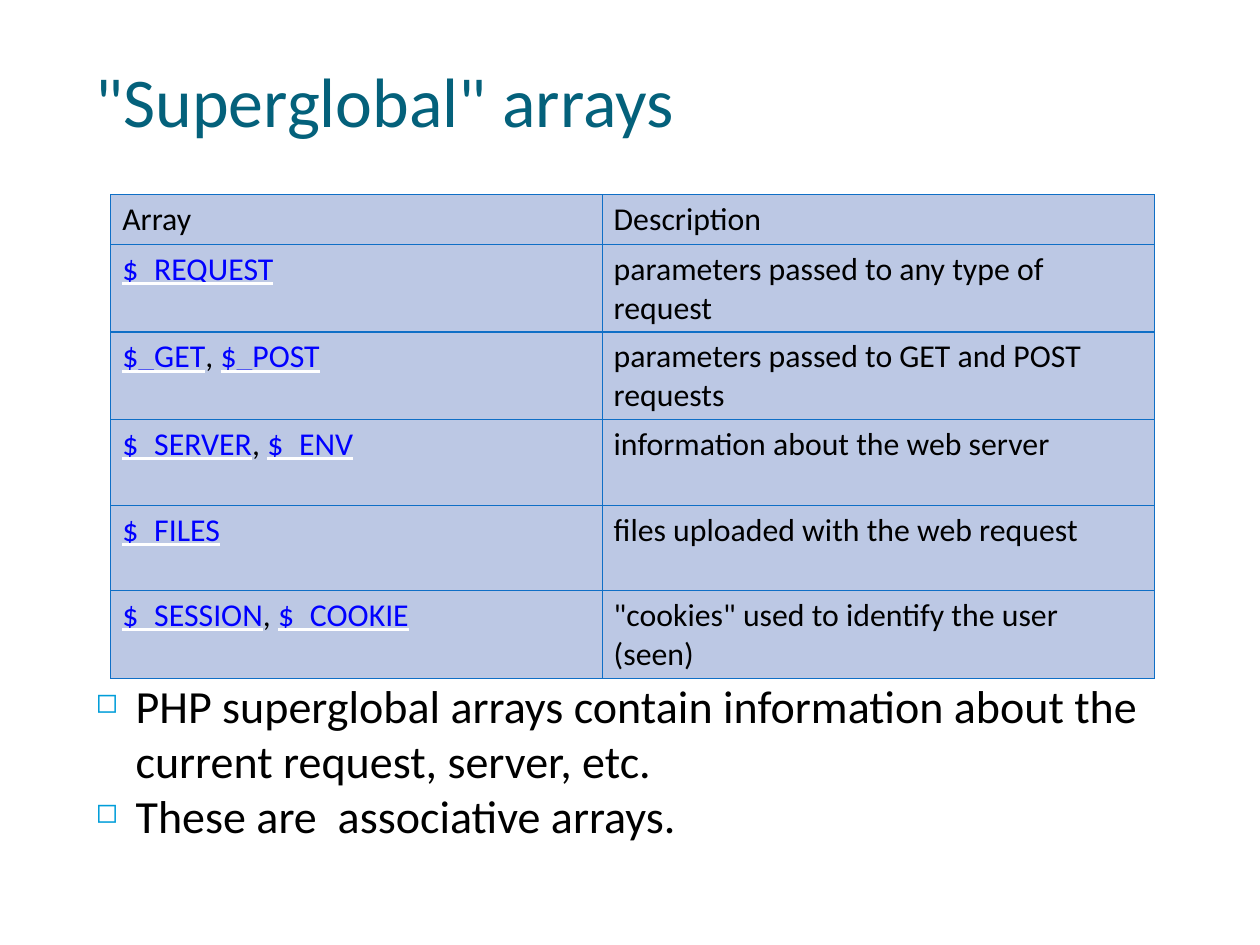
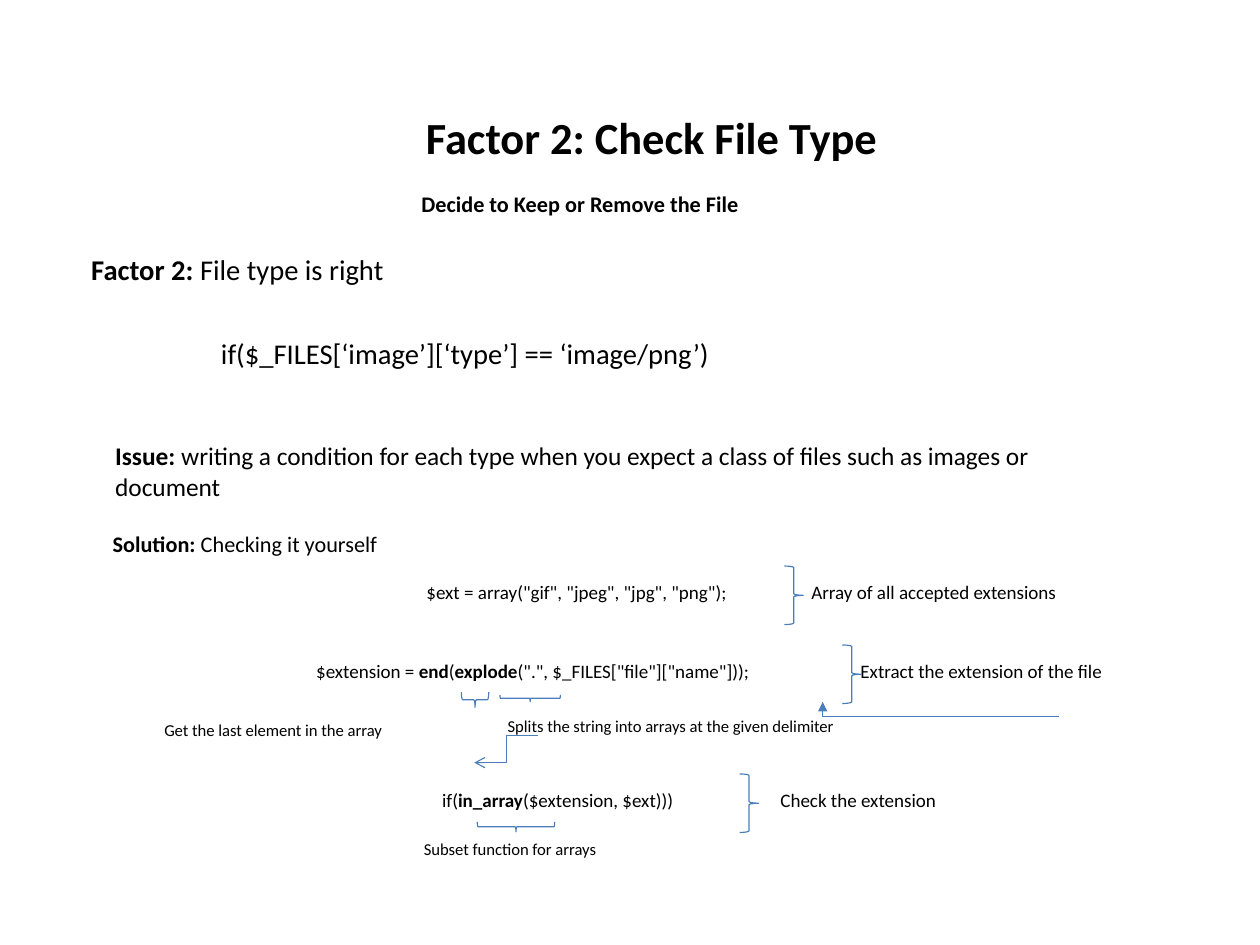
from lxml import etree
from pptx import Presentation
from pptx.dml.color import RGBColor
from pptx.enum.shapes import MSO_CONNECTOR, MSO_SHAPE
from pptx.enum.text import MSO_ANCHOR, PP_ALIGN
from pptx.oxml.ns import qn
from pptx.util import Cm, Inches, Pt

ELBOW, STRAIGHT = MSO_CONNECTOR.ELBOW, MSO_CONNECTOR.STRAIGHT
BRACE = MSO_SHAPE.RIGHT_BRACE
MIDDLE, TOP = MSO_ANCHOR.MIDDLE, MSO_ANCHOR.TOP
LEFT, CENTER = PP_ALIGN.LEFT, PP_ALIGN.CENTER

FONT = "Calibri"
COLORS = {
    "text": "000000", "title": "04617B", "bullet": "009DD9", "link": "0000FF",
    "underline": "FFFFFF", "cell": "BCC8E4", "border": "0F6FC6", "line": "4A7EBB",
}
RGB = {part: RGBColor.from_string(value) for part, value in COLORS.items()}
BOLD = {"bold": True}
LINK = {"underline": True}

prs = Presentation()
prs.slide_width = Cm(28)
prs.slide_height = Cm(21)
COLUMN = prs.slide_width / 100
ROW = prs.slide_height / 100


def place(*lengths):
    """Turn alternating percents of slide width and height into EMU."""
    return [round(n * (ROW if i % 2 else COLUMN)) for i, n in enumerate(lengths)]


def write(frame, lines, size, color="text", emphasis=BOLD, align=LEFT, anchor=TOP):
    """Fill a text frame; parts between ** marks get the emphasis."""
    frame.word_wrap = True
    frame.vertical_anchor = anchor
    for number, line in enumerate(lines):
        paragraph = frame.add_paragraph() if number else frame.paragraphs[0]
        paragraph.alignment = align
        for index, part in enumerate(line.split("**")):
            if not part:
                continue
            run = paragraph.add_run()
            run.text = part
            marked = index % 2 == 1
            linked = marked and emphasis is LINK
            run.font.color.rgb = RGB["link" if linked else color]
            if linked:
                underline = etree.SubElement(run.font.fill._xPr, qn("a:uFill"))
                fill = etree.SubElement(underline, qn("a:solidFill"))
                etree.SubElement(fill, qn("a:srgbClr"), val=COLORS["underline"])
            style = {"name": FONT, "size": Pt(size), **(emphasis if marked else {})}
            for name, value in style.items():
                setattr(run.font, name, value)


blank = prs.slide_layouts[6]
arrays_slide = prs.slides.add_slide(blank)
check_slide = prs.slides.add_slide(blank)

# Superglobal arrays
title = arrays_slide.shapes.add_textbox(*place(6.7, 3.35, 89.2, 14.4))
write(title.text_frame, ['"Superglobal" arrays'], 44, "title", anchor=MIDDLE)

facts = arrays_slide.shapes.add_textbox(*place(6.7, 71.05, 89.2, 17.8))
write(facts.text_frame, [
    "PHP superglobal arrays contain information about the current request, server, etc.",
    "These are  associative arrays.",
], 29)
indent = Inches(0.35)
for paragraph in facts.text_frame.paragraphs:
    properties = paragraph._p.get_or_add_pPr()
    properties.set("marL", str(indent))
    properties.set("indent", str(-indent))
    bullet_color = etree.SubElement(properties, qn("a:buClr"))
    etree.SubElement(bullet_color, qn("a:srgbClr"), val=COLORS["bullet"])
    etree.SubElement(properties, qn("a:buSzPct"), val="60000")
    etree.SubElement(properties, qn("a:buChar"), char="◻")

descriptions = [
    ("Array", "Description"),
    ("**$_REQUEST**", "parameters passed to any type of request"),
    ("**$_GET**, **$_POST**", "parameters passed to GET and POST requests"),
    ("**$_SERVER**, **$_ENV**", "information about the web server"),
    ("**$_FILES**", "files uploaded with the web request"),
    ("**$_SESSION**, **$_COOKIE**", '"cookies" used to identify the user (seen)'),
]
table_box = place(8.8, 20.6, 82.8, 48.4)
table_frame = arrays_slide.shapes.add_table(len(descriptions), 2, *table_box)
table = table_frame.table
table.first_row = table.horz_banding = False
for column, share in zip(table.columns, (39, 43.8)):
    column.width = round(share * COLUMN)
for r, entries in enumerate(descriptions):
    table.rows[r].height = round((9.05 if r else 5.1) * ROW)
    for c, entry in enumerate(entries):
        cell = table.cell(r, c)
        write(cell.text_frame, [entry], 20, emphasis=LINK)
        cell_properties = cell._tc.get_or_add_tcPr()
        for side in ("lnL", "lnR", "lnT", "lnB"):
            border = etree.SubElement(cell_properties, qn(f"a:{side}"), w=str(Pt(0.79)))
            fill = etree.SubElement(border, qn("a:solidFill"))
            etree.SubElement(fill, qn("a:srgbClr"), val=COLORS["border"])
        cell.fill.solid()
        cell.fill.fore_color.rgb = RGB["cell"]
table_frame.height = table_box[3]

# File type check
title = check_slide.shapes.add_textbox(*place(14.6, 8.7, 74.2, 11.6))
write(title.text_frame, ["**Factor 2: Check File Type**"], 28, align=CENTER, anchor=MIDDLE)

statements = [
    ((32.55, 19.5, 36.3, 4), 14, "**Decide to Keep or Remove the File**"),
    ((6.35, 26.1, 32.1, 4.8), 18, "**Factor 2: **File type is right"),
    ((16.65, 35, 51.2, 4.8), 18, "if($_FILES[‘image’][‘type’] == ‘image/png’)"),
    ((8.25, 46, 79, 7.6), 16, "**Issue: **writing a condition for each type when you "
     "expect a class of files such as images or document"),
    ((8.05, 55.5, 30.8, 4), 14, "**Solution: **Checking it yourself"),
    ((12.15, 75.6, 23, 5.4), 10.5, "Get the last element in the array"),
    ((39.4, 75.2, 32.3, 5.4), 10.5, "Splits the string into arrays at the given delimiter"),
    ((32.75, 88.2, 19, 3.3), 10.5, "Subset function for arrays"),
]
# Frames of the braces under the function names, before their quarter turn
braces = [
    ((37.1, 72.6, 1.2, 2.9), 90),
    ((41.8, 70.7, 0.55, 6.4), 90),
    ((40.55, 83.4, 0.8, 8.2), 90),
]
# top, code left, code width, brace left, note left, note width, code, note
code_steps = [
    (60.85, 32.95, 31.9, 62.25, 63.5, 26.1,
     '$ext = array("gif", "jpeg", "jpg", "png");', "Array of all accepted extensions"),
    (69.2, 24.2, 45.6, 66.85, 67.4, 25.7,
     '$extension = **end**(**explode**(".", $_FILES["file"]["name"]));',
     "Extract the extension of the file"),
    (82.85, 34.2, 25.1, 58.7, 61.05, 17.2,
     "if(**in_array**($extension, $ext)))", "Check the extension"),
]
for top, code_left, code_width, brace_left, note_left, note_width, code, note in code_steps:
    statements += [
        ((code_left, top, code_width, 3.6), 12, code),
        ((note_left, top, note_width, 3.6), 12, note),
    ]
    braces.append(((brace_left, top - 0.95, 1.5, 6.2), 0))

for box, size, statement in statements:
    write(check_slide.shapes.add_textbox(*place(*box)).text_frame, [statement], size)

for box, turn in braces:
    brace = check_slide.shapes.add_shape(BRACE, *place(*box))
    brace.rotation = turn
    brace.shadow.inherit = False
    brace.fill.background()
    brace.line.color.rgb = RGB["line"]
    brace.line.width = Pt(0.75)

links = [
    (ELBOW, "bentConnector3", (42.7, 77.8, 37.65, 80.7), "arrow"),
    (ELBOW, "bentConnector2", (84.05, 75.85, 65.3, 74.3), "triangle"),
    (STRAIGHT, "line", (65.3, 74.25, 65.3, 75.8), None),
]
for kind, preset, ends, arrowhead in links:
    link = check_slide.shapes.add_connector(kind, *place(*ends))
    link.line.color.rgb = RGB["line"]
    link.line.width = Pt(0.75)
    shape_properties = link.element.spPr
    shape_properties.find(qn("a:prstGeom")).set("prst", preset)
    if arrowhead:
        etree.SubElement(shape_properties.find(qn("a:ln")), qn("a:tailEnd"), type=arrowhead)
    etree.SubElement(shape_properties, qn("a:effectLst"))

prs.save("out.pptx")
